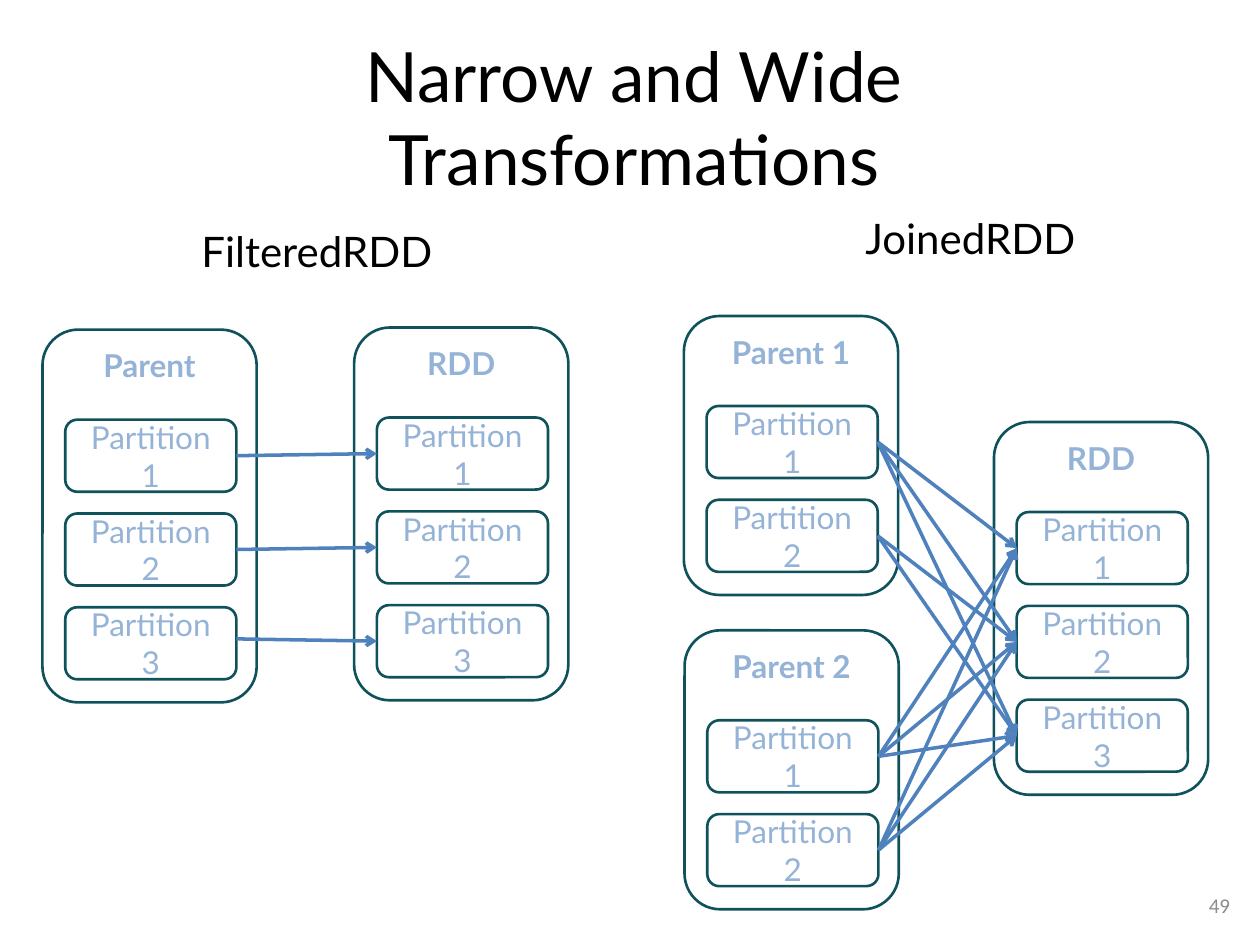
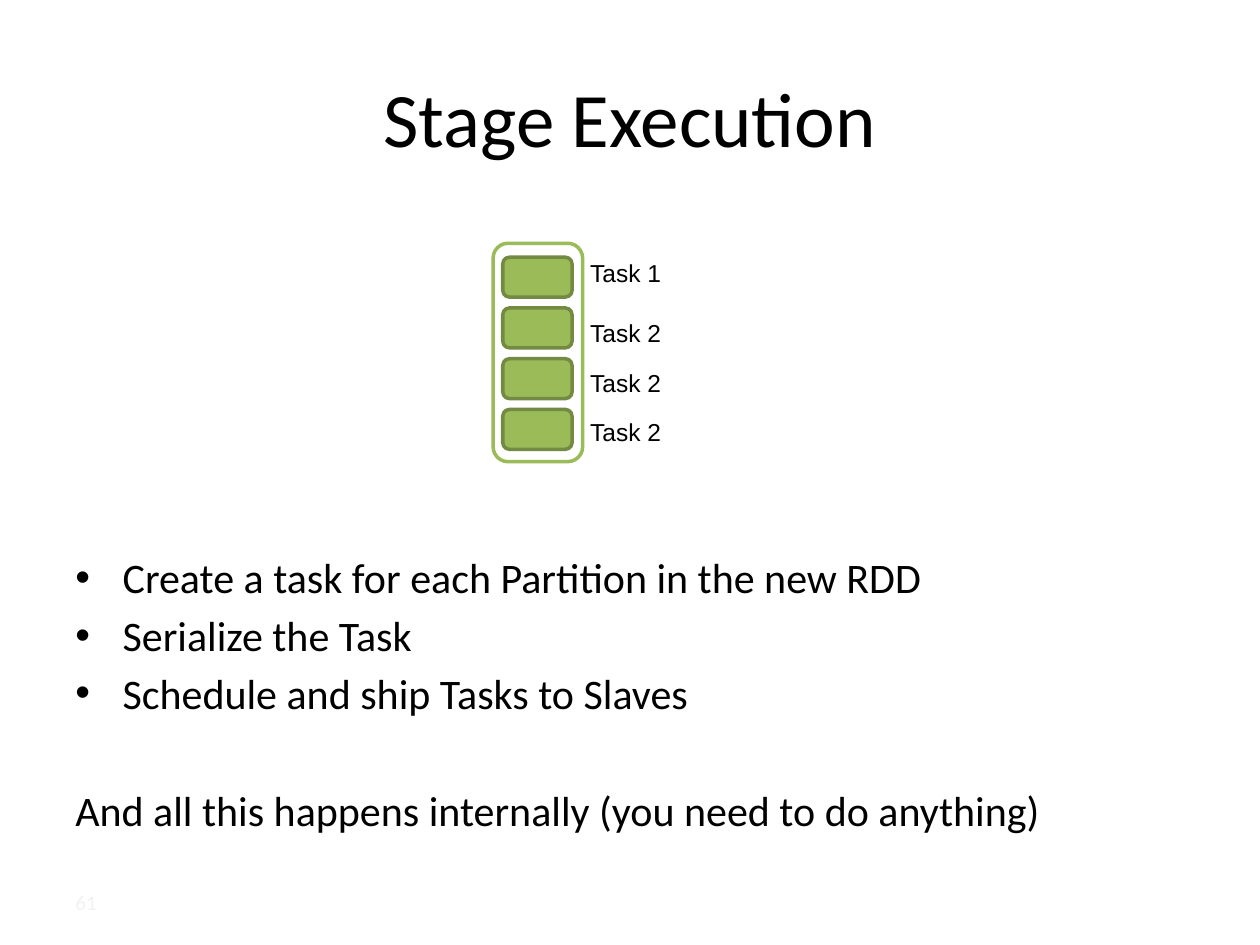
from itertools import product
from lxml.etree import SubElement
from pptx import Presentation
from pptx.dml.color import RGBColor
from pptx.enum.shapes import MSO_CONNECTOR, MSO_SHAPE
from pptx.enum.text import MSO_ANCHOR, MSO_AUTO_SIZE, PP_ALIGN
from pptx.oxml.ns import qn
from pptx.util import Pt

BLACK, WHITE = "000000", "FFFFFF"
TEAL, PALE, BLUE = "0F525B", "95B3D7", "4F81BD"
GREEN, OLIVE = "9BBB59", "738A42"
GRAY, FAINT = "8C8C8C", "F2F2F2"
LATO, CALIBRI, ARIAL = "Lato", "Calibri", "Arial"
LEFT, CENTER, RIGHT = PP_ALIGN.LEFT, PP_ALIGN.CENTER, PP_ALIGN.RIGHT

HEADS = [("FilteredRDD", (108, 125.3, 148, 36)),
         ("JoinedRDD", (487.4, 118, 139, 36))]
RDDS = {
    "source": ("Parent", 24.3, 188.4, 3),
    "filter": ("RDD", 202.4, 187.2, 3),
    "first": ("Parent 1", 390.8, 180.6, 2),
    "second": ("Parent 2", 391.2, 360.2, 2),
    "join": ("RDD", 568, 241.2, 3),
}
NARROW = [(0, 0), (1, 0), (2, -2.5)]
TASKS = [("Task 1", 144), ("Task 2", 178), ("Task 2", 206.5), ("Task 2", 234.8)]
STEPS = ["Create a task for each Partition in the new RDD",
         "Serialize the Task",
         "Schedule and ship Tasks to Slaves"]
CLOSE = "And all this happens internally (you need to do anything)"

RDD_W, PART_W, PART_H = 122.4, 97.8, 41.2
PART_X, PART_Y, PITCH = 13, 51.4, 53.6
TASK_W, TASK_H, TASK_GAP = 39.6, 22.8, 29


def color(code):
    return RGBColor.from_string(code)


def style(par, font, size, tint, align=LEFT, bold=False):
    par.alignment = align
    face = par.font
    face.name, face.size, face.bold = font, Pt(size), bold
    face.color.rgb = color(tint)


def place(shape, box):
    shape.left, shape.top, shape.width, shape.height = map(Pt, box)


def start(deck, text, box, font, size):
    slide = deck.slides.add_slide(deck.slide_layouts[5])
    title = slide.shapes.title
    place(title, box)
    frame = title.text_frame
    frame.text = text
    frame.auto_size = MSO_AUTO_SIZE.NONE
    frame.vertical_anchor = MSO_ANCHOR.MIDDLE
    style(frame.paragraphs[0], font, size, BLACK, CENTER)
    return slide


def label(slide, text, box, font, size, tint=BLACK, align=LEFT,
          anchor=MSO_ANCHOR.TOP):
    frame = slide.shapes.add_textbox(*map(Pt, box)).text_frame
    frame.word_wrap = True
    frame.vertical_anchor = anchor
    frame.text = text
    style(frame.paragraphs[0], font, size, tint, align)
    return frame


def number(slide, text, box, tint, align):
    label(slide, text, box, CALIBRI, 12, tint, align, MSO_ANCHOR.MIDDLE)


def panel(shapes, box, edge, width, fill=None):
    shape = shapes.add_shape(MSO_SHAPE.ROUNDED_RECTANGLE, *map(Pt, box))
    shape.shadow.inherit = False
    if fill:
        shape.fill.solid()
        shape.fill.fore_color.rgb = color(fill)
    else:
        shape.fill.background()
    shape.line.color.rgb = color(edge)
    shape.line.width = Pt(width)
    return shape


def node(slide, text, box, anchor, bold=False):
    shape = panel(slide.shapes, box, TEAL, 1.5)
    frame = shape.text_frame
    frame.word_wrap = True
    frame.vertical_anchor = anchor
    frame.text = text
    style(frame.paragraphs[0], LATO, 18, PALE, CENTER, bold)
    return shape


def dataset(slide, name, left, top, count):
    high = PART_Y + count * PITCH + 0.8
    node(slide, name, (left, top, RDD_W, high), MSO_ANCHOR.TOP, True)
    return [node(slide, f"Partition {i + 1}",
                 (left + PART_X, top + PART_Y + i * PITCH, PART_W, PART_H),
                 MSO_ANCHOR.MIDDLE)
            for i in range(count)]


def link(slide, head, tail, nudge=0):
    line = slide.shapes.add_connector(
        MSO_CONNECTOR.STRAIGHT,
        head.left + head.width, head.top + head.height // 2 + Pt(nudge),
        tail.left, tail.top + tail.height // 2)
    if not nudge:
        line.begin_connect(head, 3)
    line.end_connect(tail, 1)
    line.line.color.rgb = color(BLUE)
    line.line.width = Pt(2)
    SubElement(line.line._get_or_add_ln(), qn("a:tailEnd"), type="arrow")
    SubElement(line._element.spPr, qn("a:effectLst"))


def bullet(par):
    props = par._p.get_or_add_pPr()
    props.set("marL", str(Pt(27)))
    props.set("indent", str(Pt(-27)))
    SubElement(props, qn("a:buFont"), typeface=ARIAL)
    SubElement(props, qn("a:buChar"), char="•")


def shuffle(deck):
    slide = start(deck, "Narrow and Wide Transformations",
                  (80, 21.6, 564.5, 90), LATO, 39.6)
    for text, box in HEADS:
        label(slide, text, box, LATO, 24)
    parts = {key: dataset(slide, *row) for key, row in RDDS.items()}
    for i, nudge in NARROW:
        link(slide, parts["source"][i], parts["filter"][i], nudge)
    wide = list(product(parts["first"] + parts["second"], parts["join"]))
    skip = parts["first"][1], parts["join"][0]
    for head, tail in wide:
        if (head, tail) != skip:
            link(slide, head, tail)
    number(slide, "49", (666, 502.6, 44, 28.8), GRAY, RIGHT)


def stage(deck):
    slide = start(deck, "Stage Execution", (36, 21.6, 648, 90), CALIBRI, 44)
    group = slide.shapes.add_group_shape().shapes
    panel(group, (281.8, 139, 51.2, 124.8), GREEN, 2, WHITE)
    for i, (text, top) in enumerate(TASKS):
        panel(group, (287.3, 147 + i * TASK_GAP, TASK_W, TASK_H),
              OLIVE, 2, GREEN)
        label(slide, text, (329, top, 57, 25), ARIAL, 14, align=CENTER)
    frame = label(slide, STEPS[0], (36, 311.8, 648, 170.6), CALIBRI, 24)
    for text in STEPS[1:] + [CLOSE]:
        par = frame.add_paragraph()
        par.text = text
        style(par, CALIBRI, 24, BLACK)
    *steps, last = frame.paragraphs
    for par in steps:
        par.space_before = Pt(4.2)
        bullet(par)
    last.space_before = Pt(38)
    number(slide, "61", (36, 501, 168, 28.8), FAINT, LEFT)


def main():
    deck = Presentation()
    deck.slide_width, deck.slide_height = Pt(720), Pt(540)
    shuffle(deck)
    stage(deck)
    deck.save("out.pptx")


if __name__ == "__main__":
    main()
